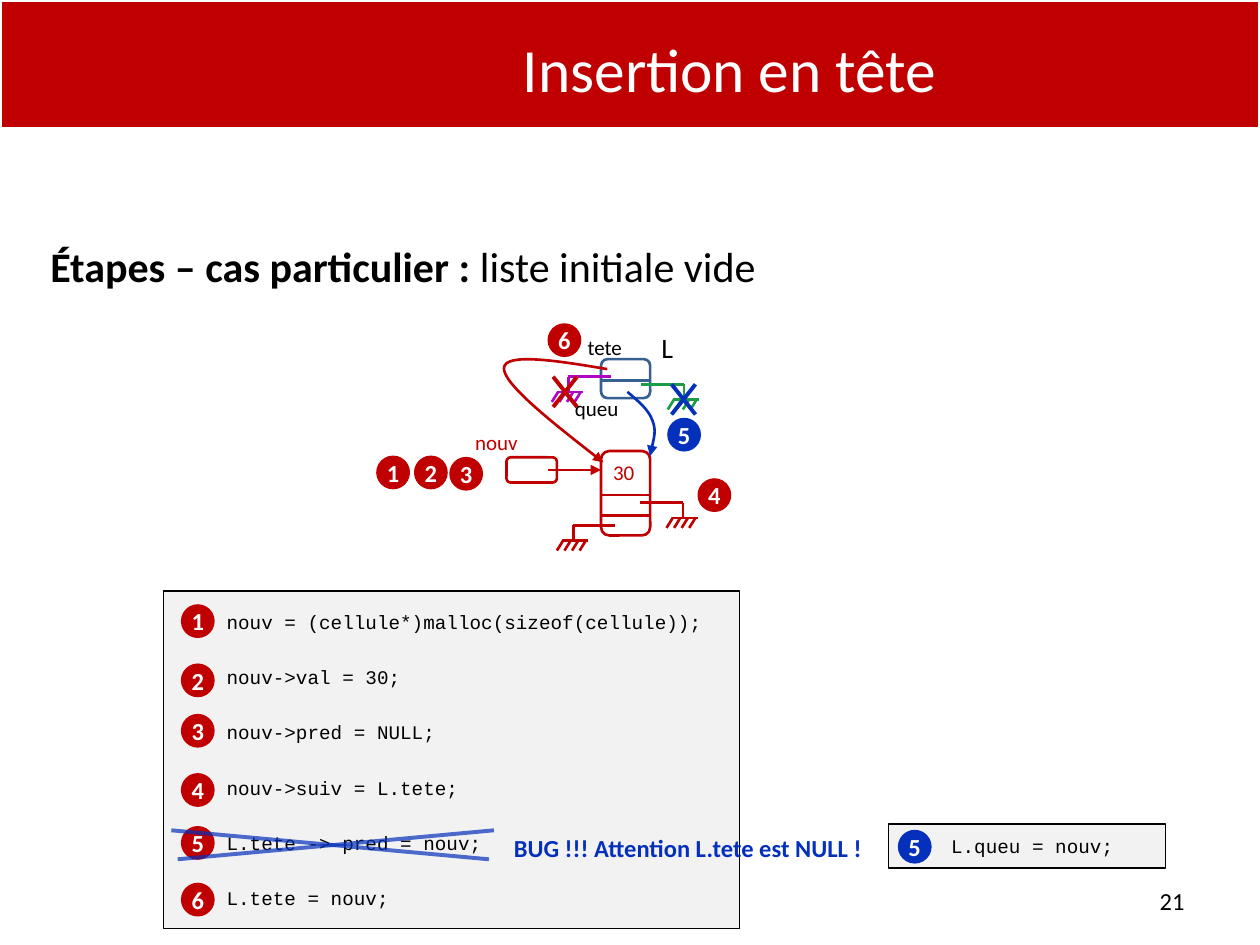
from lxml import etree
from pptx import Presentation
from pptx.dml.color import RGBColor
from pptx.enum.shapes import MSO_CONNECTOR, MSO_SHAPE
from pptx.enum.text import MSO_ANCHOR, PP_ALIGN
from pptx.oxml.ns import qn
from pptx.util import Inches, Pt

RED = RGBColor(0xC0, 0x00, 0x00)
BLUE = RGBColor(0x05, 0x30, 0xBB)
STEEL = RGBColor(0x37, 0x60, 0x92)
PURPLE = RGBColor(0xB1, 0x05, 0xC3)
GREEN = RGBColor(0x1C, 0x9C, 0x47)
GRAY = RGBColor(0xF2, 0xF2, 0xF2)
BLACK = RGBColor(0, 0, 0)
WHITE = RGBColor(255, 255, 255)
RECT, ROUND, OVAL = MSO_SHAPE.RECTANGLE, MSO_SHAPE.ROUNDED_RECTANGLE, MSO_SHAPE.OVAL
STRAIGHT = MSO_CONNECTOR.STRAIGHT
TOP, MIDDLE = MSO_ANCHOR.TOP, MSO_ANCHOR.MIDDLE
LEFT, CENTER, RIGHT = PP_ALIGN.LEFT, PP_ALIGN.CENTER, PP_ALIGN.RIGHT

deck = Presentation()
deck.slide_width, deck.slide_height = Inches(10), Inches(7.5)
slide = deck.slides.add_slide(deck.slide_layouts[6])
shapes = slide.shapes


def draw(kind, x, y, w, h, fill, edge, width):
    box = shapes.add_shape(kind, Inches(x), Inches(y), Inches(w), Inches(h))
    box.shadow.inherit = False
    if fill is None:
        box.fill.background()
    else:
        box.fill.solid()
        box.fill.fore_color.rgb = fill
    box.line.color.rgb = edge
    box.line.width = Pt(width)
    return box


def link(x1, y1, x2, y2, color, width=1.5):
    line = shapes.add_connector(STRAIGHT, Inches(x1), Inches(y1), Inches(x2), Inches(y2))
    line.line.color.rgb = color
    line.line.width = Pt(width)
    etree.SubElement(line._element.spPr, qn("a:effectLst"))
    return line


draw(RECT, 0, 0, 10, 1.02, RED, WHITE, 2)

for x, y, w, h, color in [
    (4.77, 2.85, 0.39, 0.31, STEEL),
    (4.77, 3.58, 0.39, 0.67, RED),
    (4.02, 3.63, 0.4, 0.2, RED),
]:
    draw(ROUND, x, y, w, h, None, color, 1.5)
for y, color in [(3.02, STEEL), (3.93, RED), (4.09, RED)]:
    link(4.77, y, 5.16, y, color)

for start, stem, y, color in [
    (5.08, 5.42, 3.99, RED),
    (4.85, 4.51, 2.99, PURPLE),
    (5.09, 5.43, 3.05, GREEN),
    (4.88, 4.55, 4.17, RED),
]:
    base = y + 0.12
    link(start, y, stem, y, color)
    link(stem, y, stem, base, color)
    link(stem - 0.09, base, stem + 0.12, base, color)
    for i in range(4):
        tooth = stem - 0.08 + 0.06 * i
        link(tooth, base, tooth - 0.05, base + 0.08, color)

for x, y, color in [(5.33, 3.05, BLUE), (4.39, 2.99, RED)]:
    link(x, y, x + 0.19, y + 0.24, color, 2.25)
    link(x + 0.19, y, x, y + 0.24, color, 2.25)

arrows = [link(4.35, 3.73, 4.77, 3.73, RED)]
for points, color in [
    ([(4.98, 3.11), (5.06, 3.18), (5.15, 3.25), (5.18, 3.34),
      (5.21, 3.42), (5.18, 3.52), (5.16, 3.62)], BLUE),
    ([(4.82, 2.93), (4.41, 2.86), (4.01, 2.8), (4, 2.92),
      (3.99, 3.04), (4.39, 3.36), (4.79, 3.67)], RED),
]:
    spots = [(Inches(x), Inches(y)) for x, y in points]
    pen = shapes.build_freeform(*spots[0])
    pen.add_line_segments(spots[1:], close=False)
    curve = pen.convert_to_shape()
    curve.shadow.inherit = False
    curve.fill.background()
    curve.line.color.rgb = color
    curve.line.width = Pt(1.5)
    trace = curve._element.find(".//" + qn("a:path"))
    steps = trace.findall(qn("a:lnTo"))
    for i in range(0, len(steps), 3):
        bend = etree.SubElement(trace, qn("a:cubicBezTo"))
        for step in steps[i:i + 3]:
            bend.append(step[0])
            trace.remove(step)
    arrows.append(curve)
for arrow in arrows:
    etree.SubElement(arrow.line._get_or_add_ln(), qn("a:tailEnd"), type="triangle")

for x, y, w, h, lines in [
    (1.3, 4.69, 4.57, 2.68, [
        "nouv = (cellule*)malloc(sizeof(cellule));",
        "nouv->val = 30;",
        "nouv->pred = NULL;",
        "nouv->suiv = L.tete;",
        "L.tete -> pred = nouv;",
        "L.tete = nouv;",
    ]),
    (7.05, 6.54, 2.2, 0.35, ["L.queu = nouv;"]),
]:
    frame = draw(RECT, x, y, w, h, GRAY, BLACK, 0.75).text_frame
    frame.word_wrap = True
    frame.vertical_anchor = MIDDLE
    for i, line in enumerate(lines):
        para = frame.add_paragraph() if i else frame.paragraphs[0]
        para.alignment = LEFT
        para._p.get_or_add_pPr().set("marL", str(Inches(0.4)))
        if i:
            para.space_before = Pt(18.4)
        run = para.add_run()
        run.text = line
        run.font.name = "Courier New"
        run.font.size = Pt(11)
        run.font.color.rgb = BLACK

for mark, x, y, color in [
    ("6", 4.36, 2.58, RED), ("1", 3, 3.63, RED), ("2", 3.3, 3.63, RED),
    ("3", 3.58, 3.64, RED), ("4", 5.55, 3.81, RED), ("5", 5.31, 3.33, BLUE),
    ("1", 1.45, 4.81, RED), ("2", 1.45, 5.28, RED), ("3", 1.45, 5.68, RED),
    ("4", 1.45, 6.15, RED), ("5", 1.45, 6.57, RED), ("6", 1.45, 7.02, RED),
    ("5", 7.14, 6.6, BLUE),
]:
    frame = draw(OVAL, x, y, 0.24, 0.24, color, color, 2).text_frame
    frame.margin_left = frame.margin_right = frame.margin_top = frame.margin_bottom = 0
    frame.word_wrap = False
    frame.vertical_anchor = MIDDLE
    para = frame.paragraphs[0]
    para.alignment = CENTER
    run = para.add_run()
    run.text = mark
    run.font.name = "Calibri"
    run.font.size = Pt(14)
    run.font.bold = True
    run.font.color.rgb = WHITE

for ends in [(1.36, 6.59, 3.88, 6.82), (3.92, 6.59, 1.41, 6.82)]:
    strike = link(*ends, BLUE, 2.25)
    tint = strike._element.find(".//" + qn("a:ln")).find(".//" + qn("a:srgbClr"))
    etree.SubElement(tint, qn("a:alpha"), val="70000")

for x, y, w, h, pad, runs, size, color, align, anchor in [
    (0.28, 1.86, 9.37, 5.43, 0.12,
     [("Étapes – cas particulier : ", True), ("liste initiale vide", False)],
     24, BLACK, LEFT, TOP),
    (4.3, 2.61, 1, 0.24, 0, [("tete", False)], 12, BLACK, CENTER, TOP),
    (4.31, 3.09, 0.85, 0.3, 0, [("queu", False)], 12, BLACK, CENTER, TOP),
    (5.11, 2.57, 0.37, 0.29, 0, [("L", False)], 16, BLACK, CENTER, TOP),
    (4.76, 3.6, 0.38, 0.3, 0, [("30", False)], 12, RED, CENTER, TOP),
    (3.66, 3.36, 0.56, 0.3, 0, [("nouv", False)], 12, RED, CENTER, TOP),
    (3.98, 6.56, 3.46, 0.34, 0.1,
     [("BUG !!! Attention L.tete est NULL !", True)], 14, BLUE, LEFT, TOP),
    (2.17, 0.19, 7.24, 0.69, 0.1, [("Insertion en tête", False)], 35.1, WHITE, CENTER, MIDDLE),
    (7.17, 6.95, 2.33, 0.4, 0.1, [("21", False)], 14, BLACK, RIGHT, MIDDLE),
]:
    frame = shapes.add_textbox(Inches(x), Inches(y), Inches(w), Inches(h)).text_frame
    frame.margin_left = frame.margin_right = Inches(pad)
    frame.word_wrap = True
    frame.vertical_anchor = anchor
    para = frame.paragraphs[0]
    para.alignment = align
    for words, bold in runs:
        run = para.add_run()
        run.text = words
        run.font.name = "Calibri"
        run.font.size = Pt(size)
        run.font.bold = bold
        run.font.color.rgb = color

deck.save("out.pptx")
